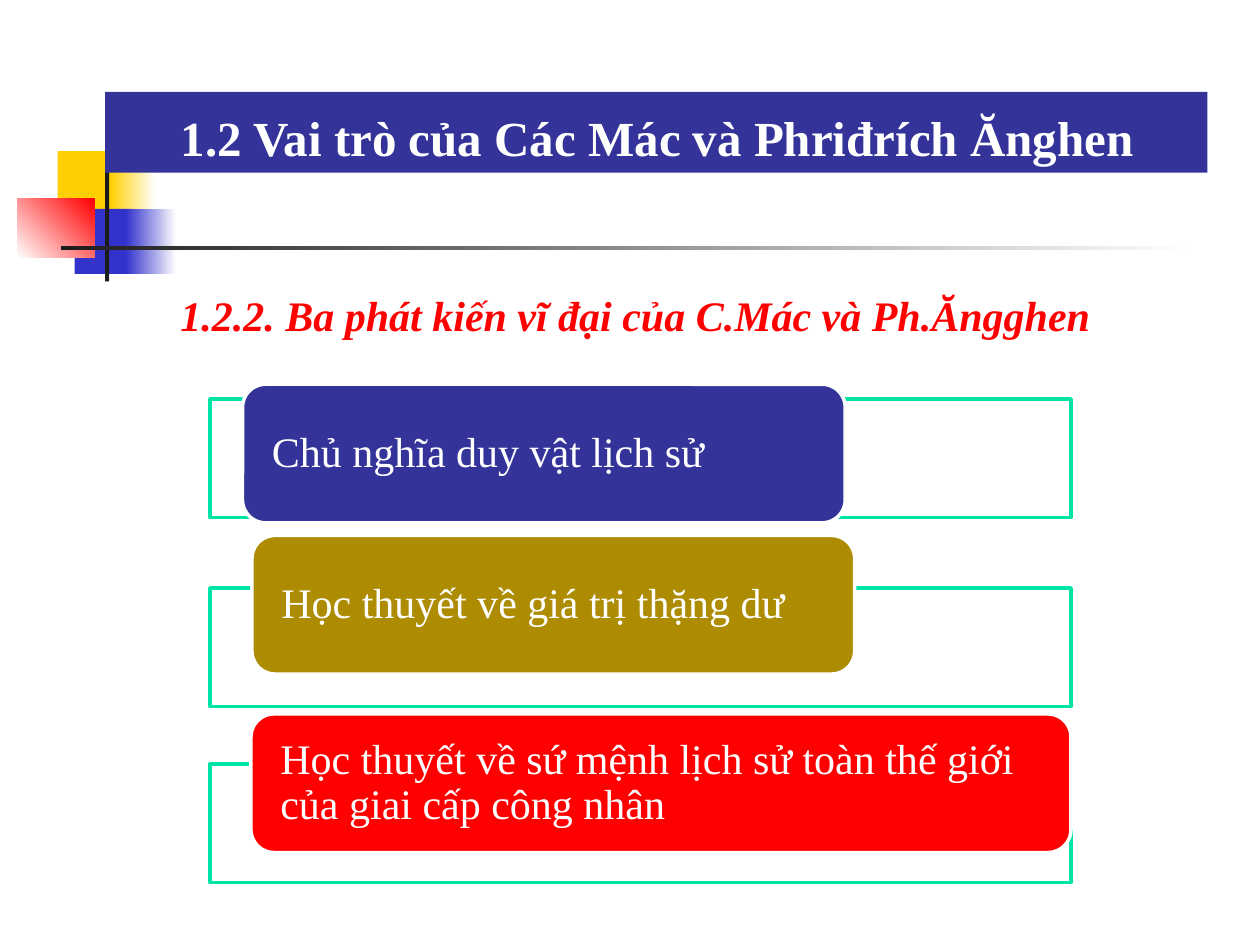
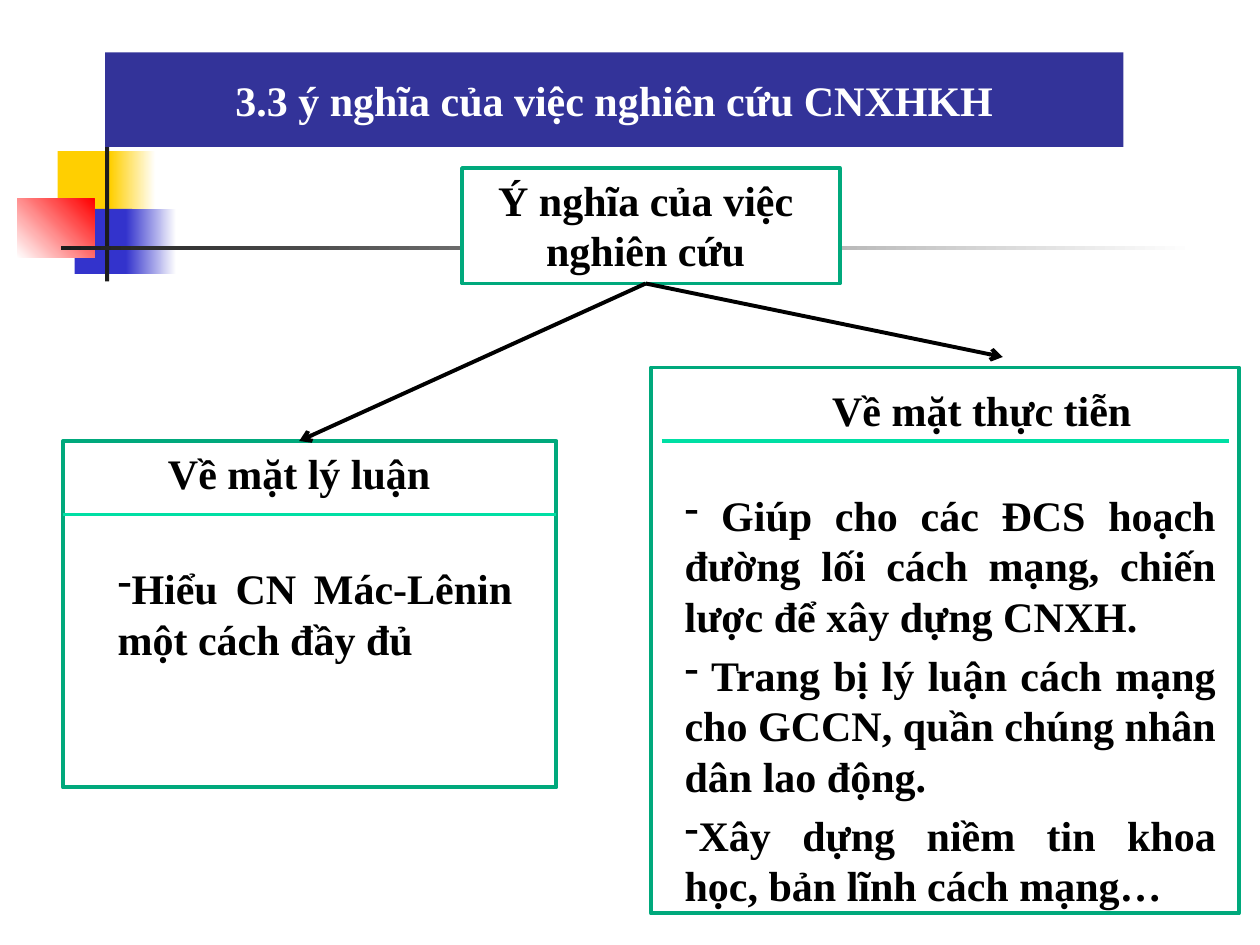
from lxml import etree
from pptx import Presentation
from pptx.dml.color import RGBColor
from pptx.enum.shapes import MSO_CONNECTOR, MSO_SHAPE
from pptx.enum.text import MSO_ANCHOR, MSO_AUTO_SIZE, PP_ALIGN
from pptx.oxml.ns import qn
from pptx.util import Inches, Pt

RECTANGLE, ROUNDED = MSO_SHAPE.RECTANGLE, MSO_SHAPE.ROUNDED_RECTANGLE
STRAIGHT = MSO_CONNECTOR.STRAIGHT
LEFT, CENTER, JUSTIFY = PP_ALIGN.LEFT, PP_ALIGN.CENTER, PP_ALIGN.JUSTIFY
TOP, MIDDLE = MSO_ANCHOR.TOP, MSO_ANCHOR.MIDDLE
NO_FIT = MSO_AUTO_SIZE.NONE
COLUMNS, ROWS = 120, 90
TITLE_ONLY, TWO_CONTENT = 5, 3
TOP_SIDE, BOTTOM_SIDE = 0, 2
FONT = "Times New Roman"
WHITE, BLACK, NAVY, RED = "FFFFFF", "000000", "333399", "FF0000"
YELLOW, BLUE, INK, OLIVE = "FFCF01", "3333CC", "1C1C1C", "AD8C01"
MINT, GREEN, RULE = "00E4A8", "00A97C", "00DFA4"


def color(code):
    """Turn a hex string into a colour."""
    return RGBColor.from_string(code)


def write(shape, lines, size=24, tint=BLACK, bold=True, italic=False, align=LEFT,
          anchor=TOP, spacing=None, gap=0, margin=0.1, bullet=None):
    """Fill a shape with formatted paragraphs."""
    frame = shape.text_frame
    frame.word_wrap, frame.auto_size, frame.vertical_anchor = True, NO_FIT, anchor
    frame.margin_left = Inches(margin)
    frame.margin_right = Inches(min(margin, 0.18))
    frame.margin_top = frame.margin_bottom = Inches(0.05)
    for index, line in enumerate(lines):
        para = frame.paragraphs[0] if index == 0 else frame.add_paragraph()
        if bullet:
            properties = para._p.get_or_add_pPr()
            properties.set("marL", "0")
            properties.set("indent", "0")
            etree.SubElement(properties, qn("a:buFontTx"))
            etree.SubElement(properties, qn("a:buChar")).set("char", bullet)
        para.alignment = align
        para.space_before = Pt(gap if index else 0)
        if spacing:
            para.line_spacing = spacing
        span = para.add_run()
        span.text = line
        font = span.font
        font.name, font.size, font.bold, font.italic = FONT, Pt(size), bold, italic
        font.color.rgb = color(tint)
    return shape


class Builder:
    """Hold the deck, its grid and the current page."""

    def __init__(self):
        """Start a deck of 10 by 7.5 inches."""
        self.deck = Presentation()
        self.deck.slide_width, self.deck.slide_height = Inches(10), Inches(7.5)
        self.page = None

    def place(self, column, row, width=0, height=0):
        """Turn grid units into lengths."""
        across, down = self.deck.slide_width / COLUMNS, self.deck.slide_height / ROWS
        return [round(column * across), round(row * down),
                round(width * across), round(height * down)]

    def start(self, layout):
        """Add a page and make it current."""
        self.page = self.deck.slides.add_slide(self.deck.slide_layouts[layout])

    def box(self, area, fill, line=None, weight=2.25, kind=RECTANGLE, fade=None, angle=0):
        """Draw a shape with a plain or fading fill."""
        shape = self.page.shapes.add_shape(kind, *self.place(*area))
        shape.shadow.inherit = False
        if fade:
            shape.fill.gradient()
            shape.fill.gradient_angle = angle
            for stop, tint in zip(shape.fill.gradient_stops, (fill, fade)):
                stop.color.rgb = color(tint)
        else:
            shape.fill.solid()
            shape.fill.fore_color.rgb = color(fill)
        if line:
            shape.line.color.rgb, shape.line.width = color(line), Pt(weight)
        else:
            shape.line.fill.background()
        return shape

    def decorate(self):
        """Move the shared corner emblem and rules to the slide master."""
        parts = (
            ((5.5, 14.4, 5.8, 6.2), YELLOW, None, 0),
            ((10.5, 14.4, 4.3, 6.2), YELLOW, WHITE, 0),
            ((7.1, 19.9, 5.5, 6.2), BLUE, None, 0),
            ((12, 19.9, 4.8, 6.2), BLUE, WHITE, 0),
            ((1.65, 18.95, 7.35, 5.6), WHITE, RED, 45),
            ((10, 13, 0.4, 13.8), INK, None, 0),
            ((5.8, 23.4, 108, 0.4), INK, WHITE, 0),
        )
        tree = self.deck.slide_master.element.cSld.spTree
        for number, (area, fill, fade, angle) in enumerate(parts, 20):
            part = self.box(area, fill, fade=fade, angle=angle).element
            part.nvSpPr.cNvPr.set("id", str(number))
            tree.append(part)

    def holder(self, index, area, lines, **style):
        """Move a placeholder to the front and fill it."""
        shape = self.page.placeholders[index]
        shape.left, shape.top, shape.width, shape.height = self.place(*area)
        self.page.element.cSld.spTree.append(shape.element)
        return write(shape, lines, **style)

    def title(self, area, text, **style):
        """Set the title in its band."""
        shape = self.holder(0, area, [text], tint=WHITE, anchor=MIDDLE, **style)
        shape.fill.solid()
        shape.fill.fore_color.rgb = color(NAVY)

    def bullets(self, index, area, lines):
        """Set a justified dash list."""
        self.holder(index, area, lines, align=JUSTIFY, gap=5, bullet="-")

    def label(self, area, text, **style):
        """Add a text box."""
        shape = self.page.shapes.add_textbox(*self.place(*area))
        return write(shape, [text], **style)

    def line(self, start, end, tint, arrow=False):
        """Draw a straight line, with an arrowhead if asked."""
        ends = self.place(*start)[:2] + self.place(*end)[:2]
        line = self.page.shapes.add_connector(STRAIGHT, *ends)
        line.line.color.rgb, line.line.width = color(tint), Pt(2.25)
        properties = line.element.spPr
        if arrow:
            etree.SubElement(properties.find(qn("a:ln")), qn("a:tailEnd")).set("type", "arrow")
        etree.SubElement(properties, qn("a:effectLst"))
        return line


def discoveries(builder):
    """Build the page of the three discoveries."""
    builder.start(TITLE_ONLY)
    builder.decorate()
    cards = (
        (38, (23.1, 36.6, 57.4, 13.2), NAVY, "Chủ nghĩa duy vật lịch sử"),
        (56, (24, 51, 57.4, 13.2), OLIVE, "Học thuyết về giá trị thặng dư"),
        (72.75, (23.9, 68, 78.1, 13.2), RED,
         "Học thuyết về sứ mệnh lịch sử toàn thế giới của giai cấp công nhân"),
    )
    for row, area, fill, text in cards:
        builder.box((20, row, 82, 11.3), WHITE, MINT, 2)
        card = builder.box(area, fill, WHITE, 2, ROUNDED)
        write(card, [text], tint=WHITE, bold=False, anchor=MIDDLE, spacing=0.9, margin=0.18)
    builder.title((10, 8.75, 105, 7.7), "1.2 Vai trò của Các Mác và Phriđrích Ănghen",
                  size=28, spacing=1.15, margin=0.6)
    builder.label((16, 27, 97, 6), "1.2.2. Ba phát kiến vĩ đại của C.Mác và Ph.Ăngghen",
                  tint=RED, italic=True)


def meaning(builder):
    """Build the page on why the subject is studied."""
    builder.start(TWO_CONTENT)
    builder.title((10, 5, 97, 9), "3.3 ý nghĩa của việc nghiên cứu CNXHKH", align=CENTER)
    builder.box((44, 16, 36, 11), WHITE, GREEN, 2)
    builder.box((6, 42, 47, 33), WHITE, GREEN)
    builder.box((62, 35, 56, 52), WHITE, GREEN)
    topic = builder.label((44, 16, 35, 11), "Ý nghĩa của việc nghiên cứu", align=CENTER)
    theory = builder.label((11, 42, 35, 6), "Về mặt lý luận", align=CENTER)
    builder.label((76, 36, 35, 6), "Về mặt thực tiễn", align=CENTER)
    builder.line((6, 49), (53, 49), RULE)
    builder.line((63, 42), (117, 42), RULE)
    to_theory = builder.line((61.5, 27), (28.5, 42), BLACK, arrow=True)
    to_practice = builder.line((61.5, 27), (95.5, 34), BLACK, arrow=True)
    to_theory.begin_connect(topic, BOTTOM_SIDE)
    to_theory.end_connect(theory, TOP_SIDE)
    to_practice.begin_connect(topic, BOTTOM_SIDE)
    builder.bullets(1, (10, 53, 40, 17), ["Hiểu CN Mác-Lênin một cách đầy đủ"])
    builder.bullets(2, (64, 46, 53, 41), [
        " Giúp cho các ĐCS hoạch đường lối cách mạng, chiến lược để xây dựng CNXH.",
        " Trang bị lý luận cách mạng cho GCCN, quần chúng nhân dân lao động.",
        "Xây dựng niềm tin khoa học, bản lĩnh cách mạng…",
    ])


def main():
    """Build and save the deck."""
    builder = Builder()
    discoveries(builder)
    meaning(builder)
    builder.deck.save("out.pptx")


if __name__ == "__main__":
    main()
